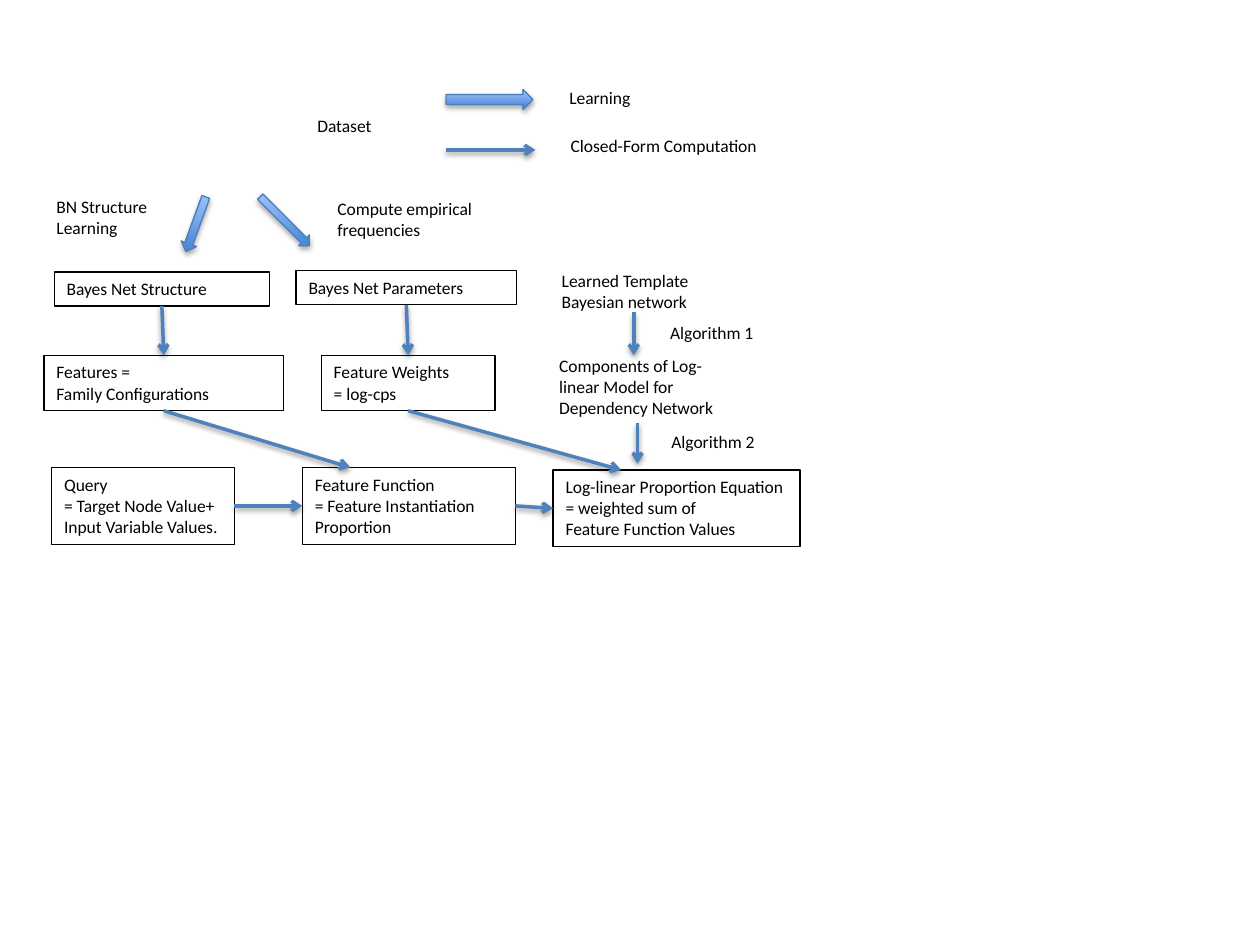
from typing import NamedTuple

from lxml.etree import SubElement
from pptx import Presentation
from pptx.dml.color import RGBColor
from pptx.enum.shapes import MSO_CONNECTOR, MSO_SHAPE
from pptx.enum.text import MSO_ANCHOR, MSO_AUTO_SIZE, PP_ALIGN
from pptx.oxml.ns import qn
from pptx.util import Inches, Pt

COLORS = {
    "text": "000000",
    "border": "000000",
    "shadow": "000000",
    "flow": "4F81BD",
    "block_line": "4B7EBC",
    "block_dark": "3F80CE",
    "block_light": "A4C4FF",
}
TOP, LEFT, BOTTOM, RIGHT = range(4)


class Box(NamedTuple):
    text: str
    left: float
    top: float
    width: float
    height: float
    wrap: bool = True


class Label(NamedTuple):
    text: str
    left: float
    top: float
    width: float
    height: float = 0.27


class BlockArrow(NamedTuple):
    preset: MSO_SHAPE
    left: float
    top: float
    width: float
    height: float
    rotation: float = 0


class Flow(NamedTuple):
    start: tuple
    end: tuple
    source: str = ""
    source_side: int = BOTTOM
    target: str = ""
    target_side: int = TOP


def rgb(name: str) -> RGBColor:
    return RGBColor.from_string(COLORS[name])


def write_text(frame, text: str, *, size: float = 10, font: str = "Calibri",
               color: str = "text", wrap: bool = True) -> None:
    frame.word_wrap = wrap
    frame.auto_size = MSO_AUTO_SIZE.SHAPE_TO_FIT_TEXT
    frame.vertical_anchor = MSO_ANCHOR.TOP
    paragraph = frame.paragraphs[0]
    paragraph.text = text.replace("\n", "\v")
    paragraph.alignment = PP_ALIGN.LEFT
    for run in paragraph.runs:
        run.font.size = Pt(size)
        run.font.name = font
        run.font.color.rgb = rgb(color)


def add_shadow(element, *, opacity: int, distance: float) -> None:
    effects = SubElement(element.spPr, qn("a:effectLst"))
    outer = SubElement(effects, qn("a:outerShdw"), blurRad=str(Pt(3.1)),
                       dist=str(Pt(distance)), dir="5400000", rotWithShape="0")
    tint = SubElement(outer, qn("a:srgbClr"), val=COLORS["shadow"])
    SubElement(tint, qn("a:alpha"), val=str(opacity * 1000))


def draw_box(shapes, box: Box):
    rectangle = shapes.add_shape(MSO_SHAPE.RECTANGLE, *map(Inches, box[1:5]))
    rectangle.shadow.inherit = False
    rectangle.fill.background()
    rectangle.line.color.rgb = rgb("border")
    rectangle.line.width = Pt(0.75)
    write_text(rectangle.text_frame, box.text, wrap=box.wrap)
    return rectangle


def draw_label(shapes, label: Label) -> None:
    write_text(shapes.add_textbox(*map(Inches, label[1:])).text_frame, label.text)


def draw_block_arrow(shapes, arrow: BlockArrow) -> None:
    block = shapes.add_shape(arrow.preset, *map(Inches, arrow[1:5]))
    block.rotation = arrow.rotation
    block.fill.gradient()
    block.fill.gradient_angle = 90
    for stop, position, name in zip(block.fill.gradient_stops, (0, 1),
                                    ("block_dark", "block_light")):
        stop.position = position
        stop.color.rgb = rgb(name)
    block.line.color.rgb = rgb("block_line")
    block.line.width = Pt(0.75)
    add_shadow(block._element, opacity=35, distance=1.8)


def draw_flow(shapes, flow: Flow, boxes: dict) -> None:
    connector = shapes.add_connector(MSO_CONNECTOR.STRAIGHT,
                                     *map(Inches, flow.start + flow.end))
    if flow.source:
        connector.begin_connect(boxes[flow.source], flow.source_side)
    if flow.target:
        connector.end_connect(boxes[flow.target], flow.target_side)
    connector.line.color.rgb = rgb("flow")
    connector.line.width = Pt(2)
    SubElement(connector.line._get_or_add_ln(), qn("a:tailEnd"), type="arrow")
    add_shadow(connector._element, opacity=38, distance=1.6)


BOXES = {
    "structure": Box("Bayes Net Structure", 0.43, 2.16, 1.71, 0.27),
    "parameters": Box("Bayes Net Parameters", 2.35, 2.15, 1.75, 0.27),
    "features": Box("Features = \nFamily Configurations", 0.35, 2.82, 1.9, 0.44),
    "weights": Box("Feature Weights\n= log-cps", 2.55, 2.82, 1.38, 0.44),
    "query": Box("Query \n= Target Node Value+\nInput Variable Values.",
                 0.41, 3.71, 1.45, 0.61, wrap=False),
    "function": Box("Feature Function\n= Feature Instantiation Proportion",
                    2.4, 3.71, 1.69, 0.61),
    "equation": Box("Log-linear Proportion Equation\n= weighted sum of \n"
                    "Feature Function Values", 4.39, 3.73, 1.96, 0.61, wrap=False),
}
LABELS = [
    Label("Dataset", 2.42, 0.86, 1.09),
    Label("BN Structure Learning", 0.35, 1.51, 1.36, 0.44),
    Label("Compute empirical frequencies", 2.58, 1.52, 1.66, 0.44),
    Label("Learned Template Bayesian network", 4.36, 2.09, 1.52, 0.44),
    Label("Components of Log-linear Model for Dependency Network",
          4.34, 2.77, 1.54, 0.61),
    Label("Algorithm 1", 5.22, 2.51, 0.89),
    Label("Algorithm 2", 5.23, 3.37, 0.89),
    Label("Learning", 4.42, 0.64, 1.03),
    Label("Closed-Form Computation", 4.43, 1.02, 2.22),
]
BLOCK_ARROWS = [
    BlockArrow(MSO_SHAPE.DOWN_ARROW, 2.2, 1.48, 0.12, 0.55, 315),
    BlockArrow(MSO_SHAPE.DOWN_ARROW, 1.49, 1.55, 0.13, 0.46, 20),
    BlockArrow(MSO_SHAPE.RIGHT_ARROW, 3.54, 0.71, 0.69, 0.16),
]
FLOWS = [
    Flow((1.29, 2.43), (1.3, 2.82), "structure", BOTTOM, "features", TOP),
    Flow((3.23, 2.42), (3.24, 2.82), "parameters", BOTTOM, "weights", TOP),
    Flow((1.3, 3.26), (2.78, 3.71), "features"),
    Flow((3.24, 3.26), (4.93, 3.73), "weights"),
    Flow((1.86, 4.02), (2.4, 4.02), "query", RIGHT, "function", LEFT),
    Flow((4.09, 4.02), (4.39, 4.03), "function", RIGHT, "equation", LEFT),
    Flow((5.03, 2.48), (5.03, 2.82)),
    Flow((5.06, 3.36), (5.06, 3.68)),
    Flow((3.54, 1.19), (4.25, 1.19)),
]


def main() -> None:
    deck = Presentation()
    deck.slide_width, deck.slide_height = Inches(10), Inches(7.5)
    shapes = deck.slides.add_slide(deck.slide_layouts[6]).shapes

    # Model parts, then their captions and the legend wording
    boxes = {key: draw_box(shapes, box) for key, box in BOXES.items()}
    for label in LABELS:
        draw_label(shapes, label)

    # Learning steps
    for arrow in BLOCK_ARROWS:
        draw_block_arrow(shapes, arrow)

    # Closed-form computation steps
    for flow in FLOWS:
        draw_flow(shapes, flow, boxes)

    deck.save("out.pptx")


if __name__ == "__main__":
    main()
